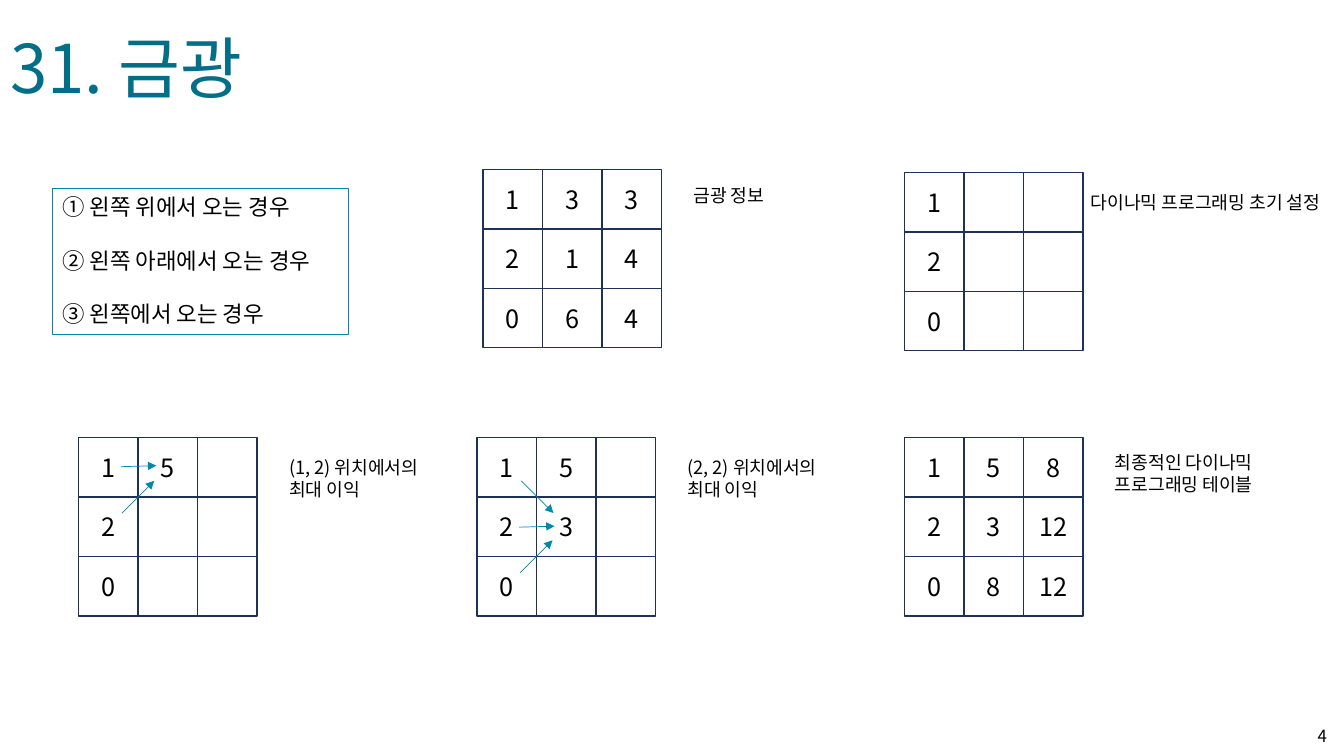
from pptx import Presentation
from pptx.dml.color import RGBColor
from pptx.enum.shapes import MSO_CONNECTOR, MSO_SHAPE
from pptx.enum.text import MSO_ANCHOR, MSO_AUTO_SIZE, PP_ALIGN
from pptx.oxml.ns import qn
from pptx.util import Inches, Pt
from lxml.etree import SubElement


def paint(code):
    """Turn a hex string into a colour."""
    return RGBColor.from_string(code)


class Deck:
    """Holds the style and the current slide."""

    face = "Noto Sans CJK KR"
    ink, navy, teal, head = "000000", "1E3256", "0089A9", "016F87"
    side = 0.59

    def __init__(self, show):
        """Add a title-only slide."""
        self.slide = show.slides.add_slide(show.slide_layouts[5])

    def letter(self, shape, text, size, color=ink, align=PP_ALIGN.LEFT,
               anchor=MSO_ANCHOR.TOP, wrap=True, gap=0):
        """Put styled text into a shape."""
        frame = shape.text_frame
        frame.text = text
        frame.word_wrap = wrap
        frame.vertical_anchor = anchor
        for index, para in enumerate(frame.paragraphs):
            para.alignment = align
            if index:
                para.space_before = Pt(gap)
            for run in para.runs:
                run.font.size = Pt(size)
                run.font.name = self.face
                run.font.color.rgb = paint(color)
                east = SubElement(run._r.get_or_add_rPr(), qn("a:ea"))
                east.set("typeface", self.face)

    def title(self, text, left, top, width, height):
        """Place and style the title."""
        shape = self.slide.shapes.title
        shape.left, shape.top = Inches(left), Inches(top)
        shape.width, shape.height = Inches(width), Inches(height)
        self.letter(shape, text, 48, self.head, wrap=False)
        shape.text_frame.auto_size = MSO_AUTO_SIZE.SHAPE_TO_FIT_TEXT

    def label(self, home, text, left, top, width, height, size=13, **style):
        """Add a text box to a slide or group."""
        box = home.shapes.add_textbox(
            Inches(left), Inches(top), Inches(width), Inches(height))
        self.letter(box, text, size, **style)

    def frame(self, home, left, top, width, height, color, weight):
        """Add an outlined rectangle."""
        shape = home.shapes.add_shape(
            MSO_SHAPE.RECTANGLE, Inches(left), Inches(top),
            Inches(width), Inches(height))
        shape.shadow.inherit = False
        shape.fill.background()
        shape.line.color.rgb = paint(color)
        shape.line.width = Pt(weight)
        return shape

    def grid(self, left, top, rows, note, place):
        """Group a grid of cells with its caption."""
        group = self.slide.shapes.add_group_shape()
        for row, line in enumerate(rows):
            for col, value in enumerate(line):
                cell = self.frame(group, left + col * self.side,
                                  top + row * self.side,
                                  self.side, self.side, self.navy, 1)
                if value:
                    self.letter(cell, value, 18, align=PP_ALIGN.CENTER,
                                anchor=MSO_ANCHOR.MIDDLE)
        self.label(group, note, *place)

    def arrow(self, x1, y1, x2, y2):
        """Draw a thin arrow."""
        line = self.slide.shapes.add_connector(
            MSO_CONNECTOR.STRAIGHT, Inches(x1), Inches(y1),
            Inches(x2), Inches(y2))
        line.line.color.rgb = paint(self.teal)
        line.line.width = Pt(0.5)
        props = line._element.spPr
        tip = SubElement(props.find(qn("a:ln")), qn("a:tailEnd"))
        tip.set("type", "triangle")
        SubElement(props, qn("a:effectLst"))


def main():
    """Build the slide."""
    show = Presentation()
    show.slide_width, show.slide_height = Inches(13.33), Inches(7.5)
    deck = Deck(show)
    deck.title("31. 금광", 0, 0.21, 2.61, 0.91)
    deck.label(deck.slide, "4", 12.69, 7.1, 0.57, 0.4, size=12,
               align=PP_ALIGN.RIGHT, anchor=MSO_ANCHOR.MIDDLE)

    start = [["1", "", ""], ["2", "", ""], ["0", "", ""]]
    grids = [
        (4.79, 1.68, ["133", "214", "064"], "금광 정보",
         (6.78, 1.78, 1.31, 0.32)),
        (8.97, 1.71, start, "다이나믹 프로그래밍 초기 설정",
         (10.72, 1.85, 2.61, 0.32)),
        (0.78, 4.34, [["1", "5", ""]] + start[1:],
         "(1, 2) 위치에서의 최대 이익", (2.77, 4.48, 1.66, 0.54)),
        (4.73, 4.34, [["1", "5", ""], ["2", "3", ""], start[2]],
         "(2, 2) 위치에서의 최대 이익", (6.72, 4.48, 1.66, 0.54)),
        (8.97, 4.34, ["158", ["2", "3", "12"], ["0", "8", "12"]],
         "최종적인 다이나믹 프로그래밍 테이블", (10.96, 4.43, 1.73, 0.54)),
    ]
    for item in grids:
        deck.grid(*item)

    cases = deck.frame(deck.slide, 0.52, 1.87, 2.94, 1.45, deck.teal, 0.75)
    deck.letter(cases, "① 왼쪽 위에서 오는 경우\n② 왼쪽 아래에서 오는 경우\n"
                "③ 왼쪽에서 오는 경우", 16, gap=19)

    for ends in [(1.2, 4.63, 1.55, 4.62), (1.21, 5.09, 1.53, 4.77),
                 (5.15, 5.23, 5.5, 5.22), (5.16, 5.68, 5.48, 5.36),
                 (5.17, 4.77, 5.49, 5.09)]:
        deck.arrow(*ends)
    show.save("out.pptx")


if __name__ == "__main__":
    main()
